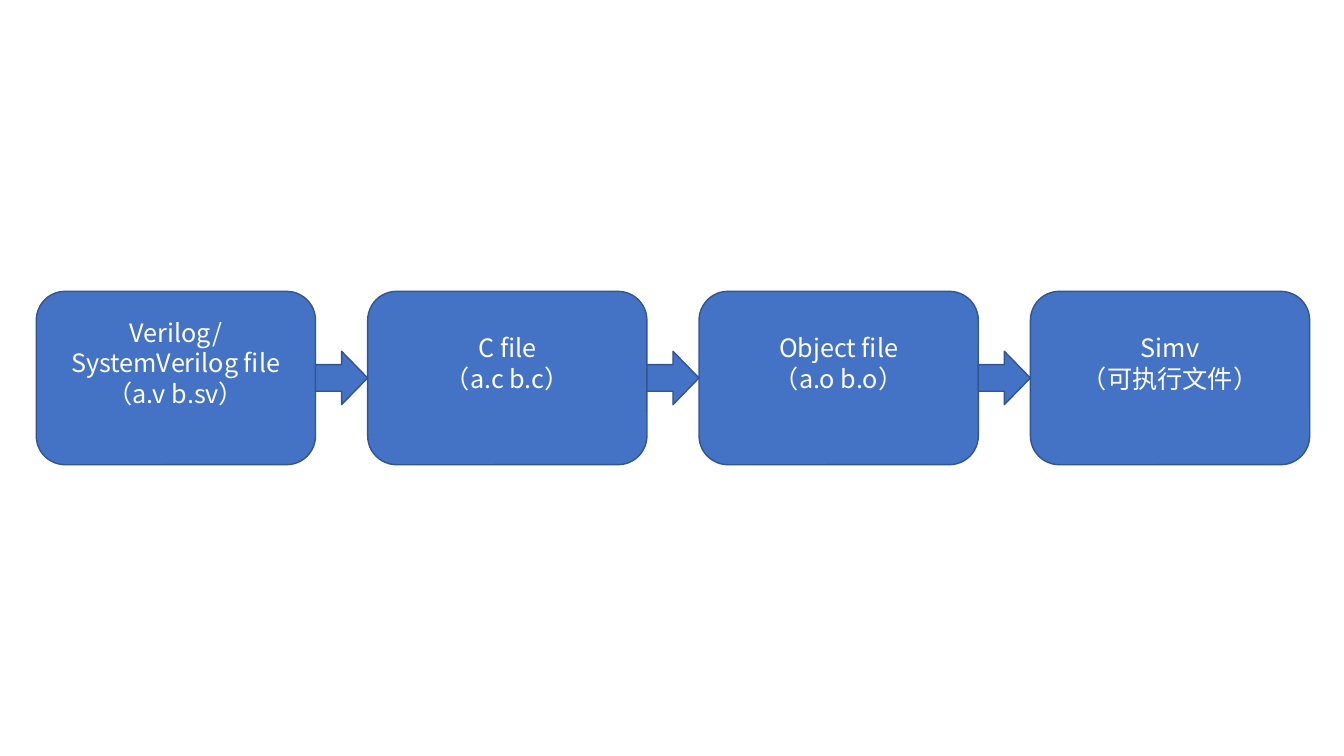
from lxml.etree import SubElement
from pptx import Presentation
from pptx.dml.color import RGBColor
from pptx.enum.shapes import MSO_SHAPE
from pptx.enum.text import MSO_ANCHOR, PP_ALIGN
from pptx.oxml.ns import qn
from pptx.util import Inches, Pt

STAGES = [
    ("Verilog/SystemVerilog file", "（a.v b.sv）"),
    ("C file", "（a.c b.c）"),
    ("Object file", "（a.o b.o）"),
    ("Simv", "（可执行文件）"),
]

FONT = "Noto Sans CJK SC"
BLUE = RGBColor(0x44, 0x72, 0xC4)
DARK_BLUE = RGBColor(0x32, 0x54, 0x91)
WHITE = RGBColor(0xFF, 0xFF, 0xFF)

SLIDE_W, SLIDE_H = 13.33, 7.5
LEFT, RIGHT = 0.36, 0.34
STAGE_W, STAGE_H = 2.77, 1.72
ARROW_H = 0.53
PITCH = (SLIDE_W - LEFT - RIGHT - STAGE_W) / (len(STAGES) - 1)

FRAME_FORMAT = {
    "word_wrap": True,
    "vertical_anchor": MSO_ANCHOR.MIDDLE,
    "margin_bottom": Inches(0.35),  # lifts the text half a line above centre
}
FONT_FORMAT = {"name": FONT, "size": Pt(18)}


def add_block(slide, preset, left, width, height):
    """Add a blue outlined shape, centred on the slide's height."""
    top = (SLIDE_H - height) / 2
    block = slide.shapes.add_shape(
        preset, Inches(left), Inches(top), Inches(width), Inches(height))
    block.shadow.inherit = False
    block.fill.solid()
    block.fill.fore_color.rgb = BLUE
    block.line.color.rgb = DARK_BLUE
    block.line.width = Pt(1)
    return block


def write_lines(frame, lines):
    """Write centred white lines, one paragraph each."""
    for key, value in FRAME_FORMAT.items():
        setattr(frame, key, value)
    frame.text = "\n".join(lines)
    for paragraph in frame.paragraphs:
        paragraph.alignment = PP_ALIGN.CENTER
        for run in paragraph.runs:
            for key, value in FONT_FORMAT.items():
                setattr(run.font, key, value)
            run.font.color.rgb = WHITE
            SubElement(run.font._element, qn("a:ea"), typeface=FONT)


presentation = Presentation()
presentation.slide_width = Inches(SLIDE_W)
presentation.slide_height = Inches(SLIDE_H)
slide = presentation.slides.add_slide(presentation.slide_layouts[6])

stage_lefts = [LEFT + index * PITCH for index in range(len(STAGES))]
for left, lines in zip(stage_lefts, STAGES):
    stage = add_block(slide, MSO_SHAPE.ROUNDED_RECTANGLE, left, STAGE_W, STAGE_H)
    write_lines(stage.text_frame, lines)
for left in stage_lefts[:-1]:
    add_block(slide, MSO_SHAPE.RIGHT_ARROW, left + STAGE_W, PITCH - STAGE_W, ARROW_H)

presentation.save("out.pptx")
